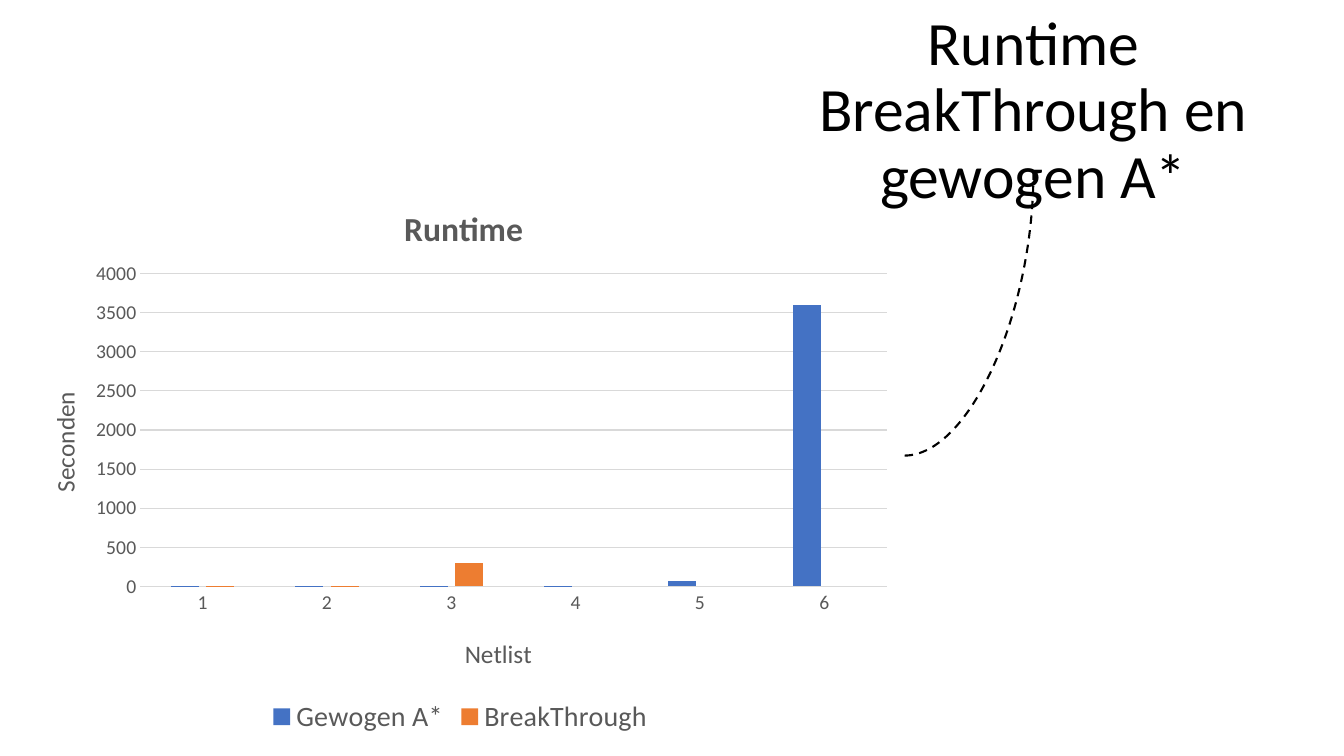
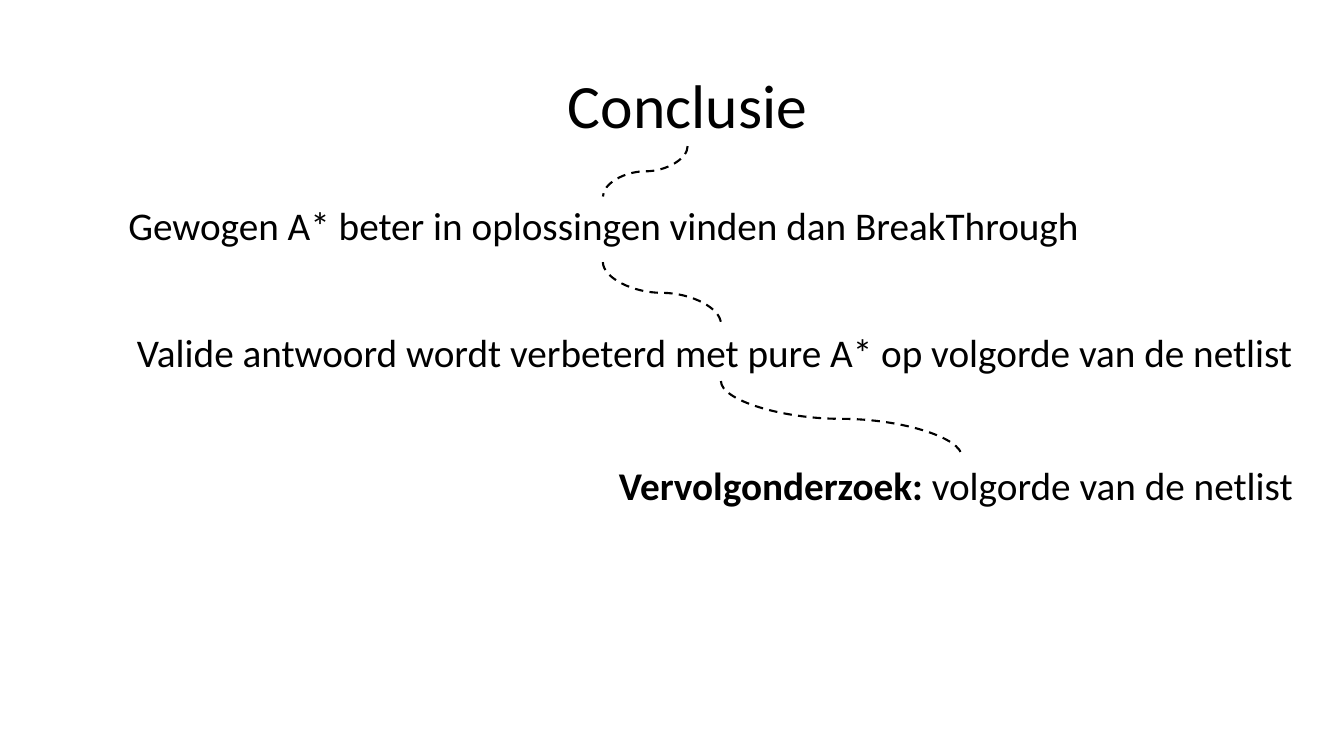
from lxml import etree
from pptx import Presentation
from pptx.chart.data import CategoryChartData
from pptx.dml.color import RGBColor
from pptx.enum.chart import XL_CHART_TYPE as Chart, XL_LEGEND_POSITION as Legend
from pptx.enum.chart import XL_TICK_MARK as Tick
from pptx.enum.dml import MSO_LINE as Dash
from pptx.enum.shapes import MSO_CONNECTOR as Link
from pptx.enum.text import MSO_ANCHOR as Anchor, MSO_AUTO_SIZE as Fit, PP_ALIGN as Align
from pptx.oxml.ns import qn
from pptx.util import Inches, Pt

FONT = "Calibri"
BLACK, GREY, GRID = "000000", "595959", "D9D9D9"
BLUE, ORANGE = "4472C4", "ED7D31"
TITLE_ONLY = 5


def color(code):
    return RGBColor.from_string(code)


def style(font, size, code=BLACK, bold=False):
    for name, value in dict(name=FONT, size=Pt(size), bold=bold).items():
        setattr(font, name, value)
    font.color.rgb = color(code)


def add_slide(deck, title, box):
    slide = deck.slides.add_slide(deck.slide_layouts[TITLE_ONLY])
    head = slide.shapes.title
    for name, value in zip(("left", "top", "width", "height"), box):
        setattr(head, name, Inches(value))
    frame = head.text_frame
    frame.text = title
    for name, value in dict(word_wrap=True, auto_size=Fit.NONE,
                            vertical_anchor=Anchor.MIDDLE).items():
        setattr(frame, name, value)
    para = frame.paragraphs[0]
    para.alignment, para.line_spacing = Align.CENTER, 0.9
    style(para.font, 44)
    return slide


def add_text(slide, box, runs, wrap=False, align=Align.LEFT, inset=0.05, spacing=1.0):
    """Place one line of text; runs holds pairs of words and bold."""
    frame = slide.shapes.add_textbox(*map(Inches, box)).text_frame
    frame.word_wrap = wrap
    frame.margin_top = frame.margin_bottom = Inches(inset)
    para = frame.paragraphs[0]
    para.alignment, para.line_spacing = align, spacing
    for words, bold in runs:
        run = para.add_run()
        run.text = words
        style(run.font, 28, bold=bold)


def add_curve(slide, start, end, preset="curvedConnector3"):
    """Draw a dashed curve that leaves start downwards: a flat one turned by 90 degrees."""
    (x1, y1), (x2, y2) = start, end
    mid_x, mid_y = (x1 + x2) / 2, (y1 + y2) / 2
    half_w, half_h = (y2 - y1) / 2, (x1 - x2) / 2
    ends = mid_x - half_w, mid_y - half_h, mid_x + half_w, mid_y + half_h
    curve = slide.shapes.add_connector(Link.CURVE, *map(Inches, ends))
    curve.line.color.rgb = color(BLACK)
    curve.line.width = Pt(1.5)
    curve.line.dash_style = Dash.DASH
    props = curve._element.spPr
    props.find(qn("a:xfrm")).set("rot", str(90 * 60000))
    props.find(qn("a:prstGeom")).set("prst", preset)
    etree.SubElement(props, qn("a:effectLst"))


def set_layout(part, **places):
    """Fix a chart part at fractions of the chart's size."""
    for old in part.findall(qn("c:layout")):
        part.remove(old)
    layout = etree.Element(qn("c:layout"))
    manual = etree.SubElement(layout, qn("c:manualLayout"))
    if "w" in places:
        etree.SubElement(manual, qn("c:layoutTarget")).set("val", "inner")
    for mode in ("xMode", "yMode"):
        etree.SubElement(manual, qn("c:" + mode)).set("val", "edge")
    for name, value in places.items():
        etree.SubElement(manual, qn("c:" + name)).set("val", str(value))
    part.insert(0 if part.find(qn("c:tx")) is None else 1, layout)


def label(title, words, size, x, y, bold=False):
    title.text_frame.text = words
    style(title.text_frame.paragraphs[0].font, size, GREY, bold)
    set_layout(title._element, x=x, y=y)


def add_chart(slide, box):
    data = CategoryChartData()
    data.categories = list("123456")
    data.add_series("Gewogen A*", (1, 10, 10, 10, 70, 3600))
    data.add_series("BreakThrough", (1, 10, 300, None, None, None))
    chart = slide.shapes.add_chart(Chart.COLUMN_CLUSTERED, *map(Inches, box), data).chart
    style(chart.font, 10)

    plot = chart.plots[0]
    plot.gap_width, plot.overlap, plot.vary_by_categories = 219, -27, False
    for series, code in zip(plot.series, (BLUE, ORANGE)):
        series.format.fill.solid()
        series.format.fill.fore_color.rgb = color(code)
        series.invert_if_negative = False
    set_layout(plot._element.getparent(), x=0.14, y=0.18, w=0.84, h=0.55)

    cats, vals = chart.category_axis, chart.value_axis
    for axis in (cats, vals):
        axis.major_tick_mark = axis.minor_tick_mark = Tick.NONE
        style(axis.tick_labels.font, 14, GREY)
    vals.minimum_scale, vals.maximum_scale, vals.major_unit = 0, 4000, 500
    vals.format.line.fill.background()
    for line in (cats.format.line, vals.major_gridlines.format.line):
        line.color.rgb = color(GRID)
        line.width = Pt(0.75)

    label(chart.chart_title, "Runtime", 24, 0.43, 0.05, bold=True)
    label(cats.axis_title, "Netlist", 18, 0.5, 0.81)
    label(vals.axis_title, "Seconden", 18, 0.03, 0.38)

    chart.has_legend = True
    chart.legend.position = Legend.BOTTOM
    chart.legend.include_in_layout = False
    style(chart.legend.font, 20, GREY)


def add_runtime(deck):
    slide = add_slide(deck, "Runtime BreakThrough en gewogen A*", (7.29, 0.52, 5.92, 1.18))
    add_curve(slide, (10.25, 1.7), (8.97, 4.52), "curvedConnector2")
    add_chart(slide, (0.16, 1.7, 8.81, 5.64))


def add_conclusion(deck):
    slide = add_slide(deck, "Conclusie", (1.57, 0.71, 10.5, 0.74))
    add_text(slide, (0.47, 1.95, 11.03, 0.64),
             [("Gewogen A* beter in oplossingen vinden dan BreakThrough", False)],
             wrap=True, align=Align.CENTER, inset=0.1, spacing=0.9)
    add_text(slide, (1.26, 3.21, 11.79, 0.57),
             [("Valide antwoord wordt verbeterd met pure A* op volgorde van de netlist", False)])
    add_text(slide, (6.04, 4.53, 7, 0.57),
             [("Vervolgonderzoek: ", True), ("volgorde van de netlist", False)])
    for start, end in (((6.82, 1.45), (5.98, 1.95)),
                       ((5.98, 2.6), (7.15, 3.21)),
                       ((7.15, 3.78), (9.54, 4.53))):
        add_curve(slide, start, end)


def main():
    deck = Presentation()
    deck.slide_width, deck.slide_height = Inches(13.33), Inches(7.5)
    add_runtime(deck)
    add_conclusion(deck)
    deck.save("out.pptx")


if __name__ == "__main__":
    main()
